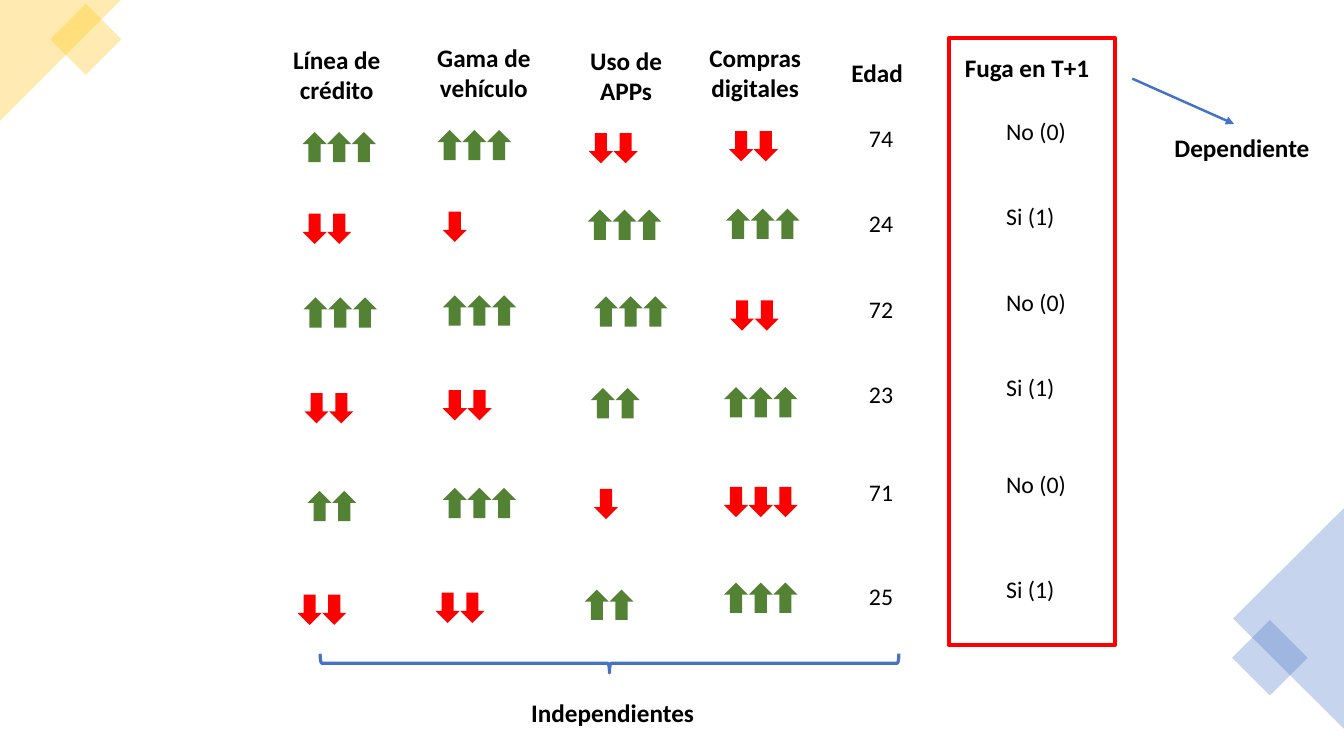
from lxml import etree
from pptx import Presentation
from pptx.dml.color import RGBColor
from pptx.enum import shapes, text
from pptx.oxml import ns
from pptx.util import Inches, Pt

THEME = {
    "font": "Calibri", "text": "000000", "heading": 18, "value": 17,
    "up": "548235", "down": "FF0000", "frame": "FF0000",
    "accent": "4472C4", "gold": "FFC000", "corner_alpha": 30,
}

# Variable: heading box, then one (left, top, arrows) per client; negative arrows point down
VARIABLES = {
    "Línea de crédito": ((2.64, 0.39, 1.4, 0.71), [
        (3, 1.31, 3), (3, 2.12, -2), (3.01, 2.95, 3),
        (3.02, 3.9, -2), (3.05, 4.87, 2), (2.95, 5.9, -2)]),
    "Gama de vehículo": ((4.1, 0.37, 1.4, 0.71), [
        (4.34, 1.29, 3), (4.39, 2.1, -1), (4.39, 2.93, 3),
        (4.39, 3.87, -2), (4.39, 4.84, 3), (4.32, 5.88, -2)]),
    "Uso de APPs": ((5.59, 0.4, 1.24, 0.71), [
        (5.84, 1.32, -2), (5.83, 2.08, 3), (5.89, 2.94, 3),
        (5.86, 3.85, 2), (5.89, 4.85, -1), (5.8, 5.85, 2)]),
    "Compras digitales": ((6.79, 0.37, 1.4, 0.71), [
        (7.23, 1.3, -2), (7.2, 2.07, 3), (7.24, 2.98, -2),
        (7.18, 3.84, 3), (7.18, 4.83, -3), (7.18, 5.78, 3)]),
    "Edad": ((8, 0.52, 1.4, 0.4), []),
}
LABELS = [
    ("Fuga en T+1", (9.47, 0.47, 1.72, 0.4)),
    ("Independientes", (5.17, 6.87, 3.04, 0.4)),
    ("Dependiente", (11.55, 1.26, 3.04, 0.4)),
]
VALUE_COLUMNS = [
    (["74", "24", "72", "23", "71", "25"], (8.52, 1.18, 0.98, 5)),
    (["No (0)", "Si (1)"] * 3, (9.88, 1.11, 0.98, 5)),
]
VALUE_GAPS = [0, 40.5, 40.5, 40.5, 49.25, 54.25]
ARROW_SIZE = (0.24, 0.3)
ARROW_STEP = 0.245

# Colour, then (preset, box, rotation, adjustment) for each piece
CORNERS = [
    (THEME["gold"], [("ISOSCELES_TRIANGLE", (0, 0, 1.2, 1.2), 90, 0),
                     ("RECTANGLE", (0.6, 0.14, 0.5, 0.5), 45, None)]),
    (THEME["accent"], [("ISOSCELES_TRIANGLE", (11.68, 5.58, 2.21, 1.11), 270, 0.5),
                       ("RECTANGLE", (12.33, 6.26, 0.53, 0.53), 45, None)]),
]


def rgb(colour):
    return RGBColor.from_string(colour)


def add_preset(parent, preset, box, fill=None, line=None, rotation=0):
    """Add a flat shape; line is a (colour, points) pair."""
    shape = parent.add_shape(getattr(shapes.MSO_SHAPE, preset), *map(Inches, box))
    shape.shadow.inherit = False
    shape.rotation = rotation
    if fill:
        shape.fill.solid()
        shape.fill.fore_color.rgb = rgb(fill)
    else:
        shape.fill.background()
    if line:
        shape.line.color.rgb, shape.line.width = rgb(line[0]), Pt(line[1])
    else:
        shape.line.fill.background()
    return shape


def add_text(slide, lines, box, size, bold=False, align=text.PP_ALIGN.LEFT, gaps=(0,)):
    frame = slide.shapes.add_textbox(*map(Inches, box)).text_frame
    frame.word_wrap = True
    frame.text = "\n".join(lines)
    font_format = {"name": THEME["font"], "size": Pt(size), "bold": bold}
    for paragraph, gap in zip(frame.paragraphs, gaps):
        paragraph.alignment = align
        if gap:
            paragraph.space_before = Pt(gap)
        for name, value in font_format.items():
            setattr(paragraph.font, name, value)
        paragraph.font.color.rgb = rgb(THEME["text"])


def add_corner(slide, colour, pieces):
    group = slide.shapes.add_group_shape()
    for preset, box, rotation, adjustment in pieces:
        shape = add_preset(group.shapes, preset, box, colour, rotation=rotation)
        if adjustment is not None:
            shape.adjustments[0] = adjustment
        fill_colour = shape.fill._xPr.find(".//" + ns.qn("a:srgbClr"))
        etree.SubElement(fill_colour, ns.qn("a:alpha"), val=str(THEME["corner_alpha"] * 1000))


def add_trend(slide, left, top, arrows):
    """Draw a row of arrows whose number and direction show the trend."""
    fill, rotation = (THEME["up"], 0) if arrows > 0 else (THEME["down"], 180)
    for index in range(abs(arrows)):
        box = (left + index * ARROW_STEP, top, *ARROW_SIZE)
        add_preset(slide.shapes, "UP_ARROW", box, fill, rotation=rotation)


def add_pointer(slide, start, end):
    pointer = slide.shapes.add_connector(
        shapes.MSO_CONNECTOR.STRAIGHT, *map(Inches, start + end))
    pointer.line.color.rgb, pointer.line.width = rgb(THEME["accent"]), Pt(1.75)
    etree.SubElement(pointer.line._get_or_add_ln(), ns.qn("a:tailEnd"), type="triangle")
    etree.SubElement(pointer._element.spPr, ns.qn("a:effectLst"))


def main():
    presentation = Presentation()
    presentation.slide_width, presentation.slide_height = Inches(13.33), Inches(7.5)
    slide = presentation.slides.add_slide(presentation.slide_layouts[6])

    for colour, pieces in CORNERS:
        add_corner(slide, colour, pieces)
    for heading, (box, trends) in VARIABLES.items():
        add_text(slide, [heading], box, THEME["heading"], True, text.PP_ALIGN.CENTER)
        for trend in trends:
            add_trend(slide, *trend)
    for values, box in VALUE_COLUMNS:
        add_text(slide, values, box, THEME["value"], gaps=VALUE_GAPS)
    for label, box in LABELS:
        add_text(slide, [label], box, THEME["heading"], True)

    add_preset(slide.shapes, "RECTANGLE", (9.41, 0.38, 1.65, 6.02), line=(THEME["frame"], 3))
    add_preset(slide.shapes, "LEFT_BRACE", (5.95, 3.71, 0.19, 5.74),
               line=(THEME["accent"], 2.25), rotation=270)
    add_pointer(slide, (11.23, 0.78), (12.24, 1.23))
    presentation.save("out.pptx")


if __name__ == "__main__":
    main()
